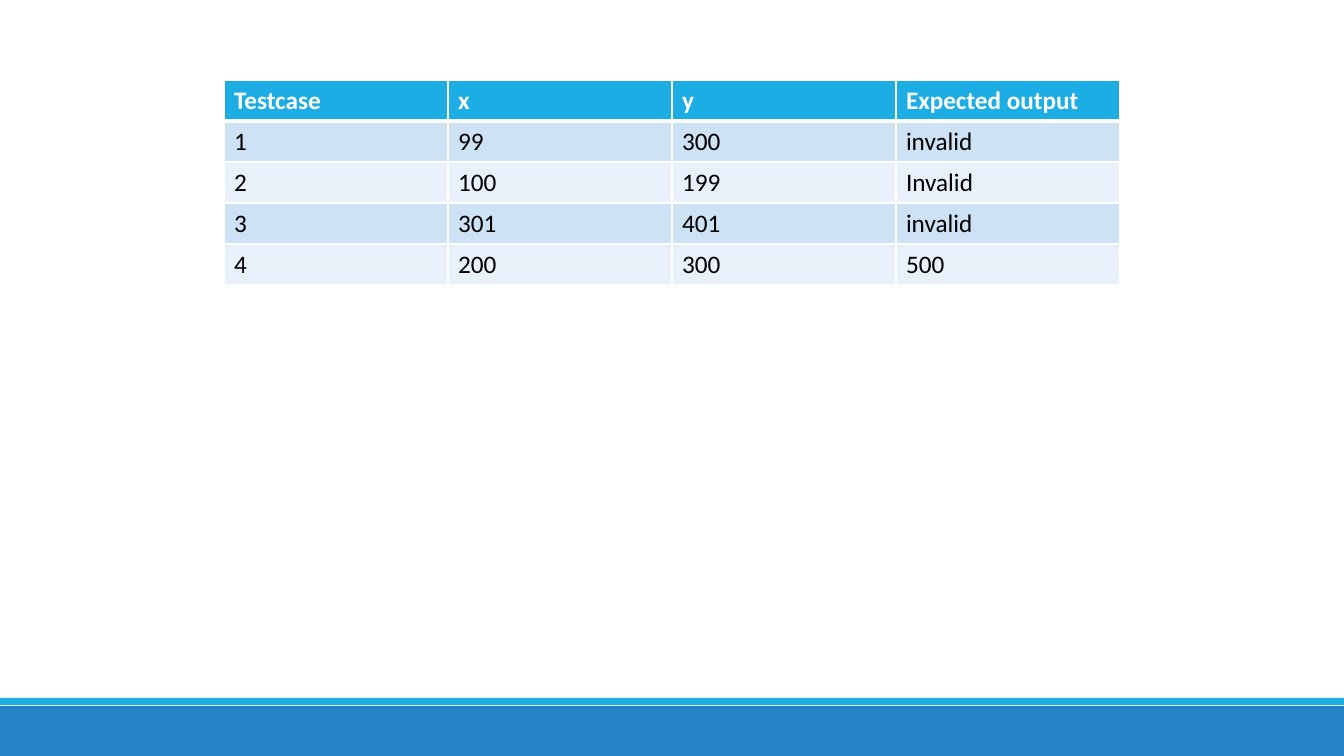
from lxml.etree import SubElement
from pptx import Presentation
from pptx.dml.color import RGBColor
from pptx.enum.shapes import MSO_SHAPE
from pptx.oxml.ns import qn
from pptx.util import Pt

ROWS = [
    ("Testcase", "x", "y", "Expected output"),
    ("1", "99", "300", "invalid"),
    ("2", "100", "199", "Invalid"),
    ("3", "301", "401", "invalid"),
    ("4", "200", "300", "500"),
]

WHITE = RGBColor(0xFF, 0xFF, 0xFF)
BLACK = RGBColor(0x00, 0x00, 0x00)
CYAN = RGBColor(0x1C, 0xAD, 0xE4)
BLUE = RGBColor(0x26, 0x83, 0xC6)
BAND_DARK = RGBColor(0xCD, 0xE3, 0xF5)
BAND_LIGHT = RGBColor(0xE8, 0xF1, 0xFA)

SLIDE_WIDTH, SLIDE_HEIGHT = 1344, 756
FOOTER_BARS = [(706, 50, BLUE), (698, 7, CYAN)]  # top, height, colour
TABLE_LEFT, TABLE_TOP = 224, 80
COLUMN_WIDTH, ROW_HEIGHT = 224, 41
BLANK_LAYOUT = 6


def px(length):
    return round(length * 12192000 / SLIDE_WIDTH)


def add_footer_bar(slide, top, height, color):
    bar = slide.shapes.add_shape(
        MSO_SHAPE.RECTANGLE, 0, px(top), px(SLIDE_WIDTH), px(height))
    bar.shadow.inherit = False
    bar.fill.solid()
    bar.fill.fore_color.rgb = color
    bar.line.fill.background()


def set_borders(cell, top, bottom):
    """Draw white borders; top and bottom are widths in points."""
    properties = cell._tc.get_or_add_tcPr()
    for side, width in (("L", 1), ("R", 1), ("T", top), ("B", bottom)):
        line = SubElement(properties, qn(f"a:ln{side}"), w=str(Pt(width)))
        fill = SubElement(line, qn("a:solidFill"))
        SubElement(fill, qn("a:srgbClr"), val=str(WHITE))


def fill_cell(cell, text, row_index):
    is_header = row_index == 0
    set_borders(cell, 3 if row_index == 1 else 1, 3 if is_header else 1)
    cell.fill.solid()
    band = BAND_DARK if row_index % 2 else BAND_LIGHT
    cell.fill.fore_color.rgb = CYAN if is_header else band
    run = cell.text_frame.paragraphs[0].add_run()
    run.text = text
    run.font.name = "Calibri"
    run.font.size = Pt(18)
    run.font.bold = is_header
    run.font.color.rgb = WHITE if is_header else BLACK


def add_testcase_table(slide):
    column_count = len(ROWS[0])
    table = slide.shapes.add_table(
        len(ROWS), column_count, px(TABLE_LEFT), px(TABLE_TOP),
        px(COLUMN_WIDTH * column_count), px(ROW_HEIGHT * len(ROWS))).table
    for column in table.columns:
        column.width = px(COLUMN_WIDTH)
    for row_index, values in enumerate(ROWS):
        table.rows[row_index].height = px(ROW_HEIGHT)
        for column_index, text in enumerate(values):
            fill_cell(table.cell(row_index, column_index), text, row_index)


def main():
    presentation = Presentation()
    presentation.slide_width = px(SLIDE_WIDTH)
    presentation.slide_height = px(SLIDE_HEIGHT)
    slide = presentation.slides.add_slide(
        presentation.slide_layouts[BLANK_LAYOUT])
    for top, height, color in FOOTER_BARS:
        add_footer_bar(slide, top, height, color)
    add_testcase_table(slide)
    presentation.save("out.pptx")


if __name__ == "__main__":
    main()
